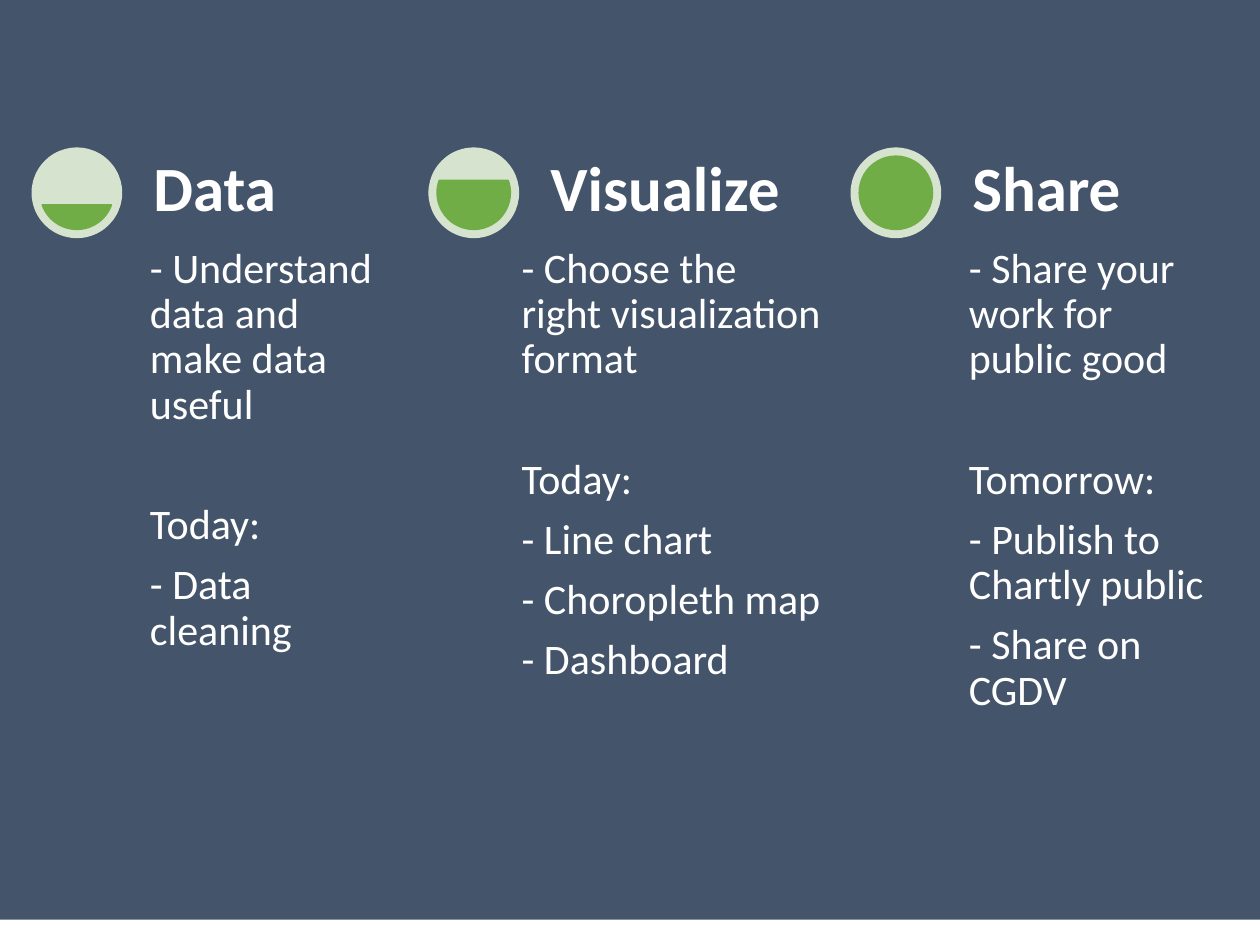
"""Build the three-step slide: Data, Visualize, Share."""
from math import asin, degrees

from pptx import Presentation
from pptx.dml.color import RGBColor
from pptx.enum.shapes import MSO_SHAPE as Shape
from pptx.enum.text import MSO_ANCHOR as Anchor
from pptx.util import Inches, Pt

NAVY = RGBColor(0x44, 0x54, 0x6A)
PALE = RGBColor(0xD5, 0xE3, 0xCF)
GREEN = RGBColor(0x70, 0xAD, 0x47)
WHITE = RGBColor(0xFF, 0xFF, 0xFF)

WIDE, HIGH = 10, 7.5
TOP, DISC, RIM = 1.17, 0.72, 0.07
INDENT, TEXT = 0.87, 2.13

STEPS = [
    (0.25, 0, "Data",
     ["- Understand data and make data useful", "Today:", "- Data cleaning"]),
    (3.4, 0.2, "Visualize",
     ["- Choose the right visualization format", "Today:", "- Line chart",
      "- Choropleth map", "- Dashboard"]),
    (6.75, 0, "Share",
     ["- Share your work for public good", "Tomorrow:",
      "- Publish to Chartly public", "- Share on CGDV"]),
]


def add_form(slide, kind, box, fill):
    """Add a filled preset shape without line or shadow."""
    form = slide.shapes.add_shape(kind, *map(Inches, box))
    form.shadow.inherit = False
    form.fill.solid()
    form.fill.fore_color.rgb = fill
    form.line.fill.background()
    return form


def add_gauge(slide, left, level):
    """Add a disc filled with green up to the given share."""
    add_form(slide, Shape.OVAL, (left, TOP, DISC, DISC), PALE)
    size = DISC - 2 * RIM
    chord = add_form(slide, Shape.CHORD, (left + RIM, TOP + RIM, size, size), GREEN)
    chord.line.color.rgb = GREEN
    chord.line.width = Pt(1)
    angle = degrees(asin(1 - 2 * level))
    for i, turn in enumerate((angle % 360, 180 - angle)):
        chord.adjustments[i] = turn * 0.6


def add_text(slide, box, lines, size, inset, anchor=Anchor.TOP, bold=False, gaps=()):
    """Add a text box with one paragraph per line and the gaps after them."""
    frame = slide.shapes.add_textbox(*map(Inches, box)).text_frame
    frame.word_wrap = True
    frame.vertical_anchor = anchor
    frame.margin_left = frame.margin_right = Inches(inset)
    frame.margin_top = frame.margin_bottom = Inches(inset)
    for i, line in enumerate(lines):
        para = frame.add_paragraph() if i else frame.paragraphs[0]
        para.line_spacing = 0.9
        para.space_after = Pt(gaps[i] if i < len(gaps) else size * 0.35)
        run = para.add_run()
        run.text = line
        run.font.name = "Calibri"
        run.font.size = Pt(size)
        run.font.bold = bold
        run.font.color.rgb = WHITE


def add_step(slide, left, grow, title, lines, level):
    """Add one column: gauge, body and heading."""
    add_gauge(slide, left, level)
    start = left + INDENT
    body = (start - grow, TOP + DISC, TEXT + 2 * grow, 3.03)
    add_text(slide, body, lines, 24, 0.07, gaps=(43,))
    add_text(slide, (start, TOP, TEXT, DISC), [title], 36, 0.1, Anchor.BOTTOM, True)


def main():
    """Build and save the slide."""
    deck = Presentation()
    deck.slide_width, deck.slide_height = Inches(WIDE), Inches(HIGH)
    slide = deck.slides.add_slide(deck.slide_layouts[6])
    add_form(slide, Shape.RECTANGLE, (0, 0, WIDE, 7.3), NAVY)
    for i, step in enumerate(STEPS, 1):
        add_step(slide, *step, i / len(STEPS))
    deck.save("out.pptx")


if __name__ == "__main__":
    main()
